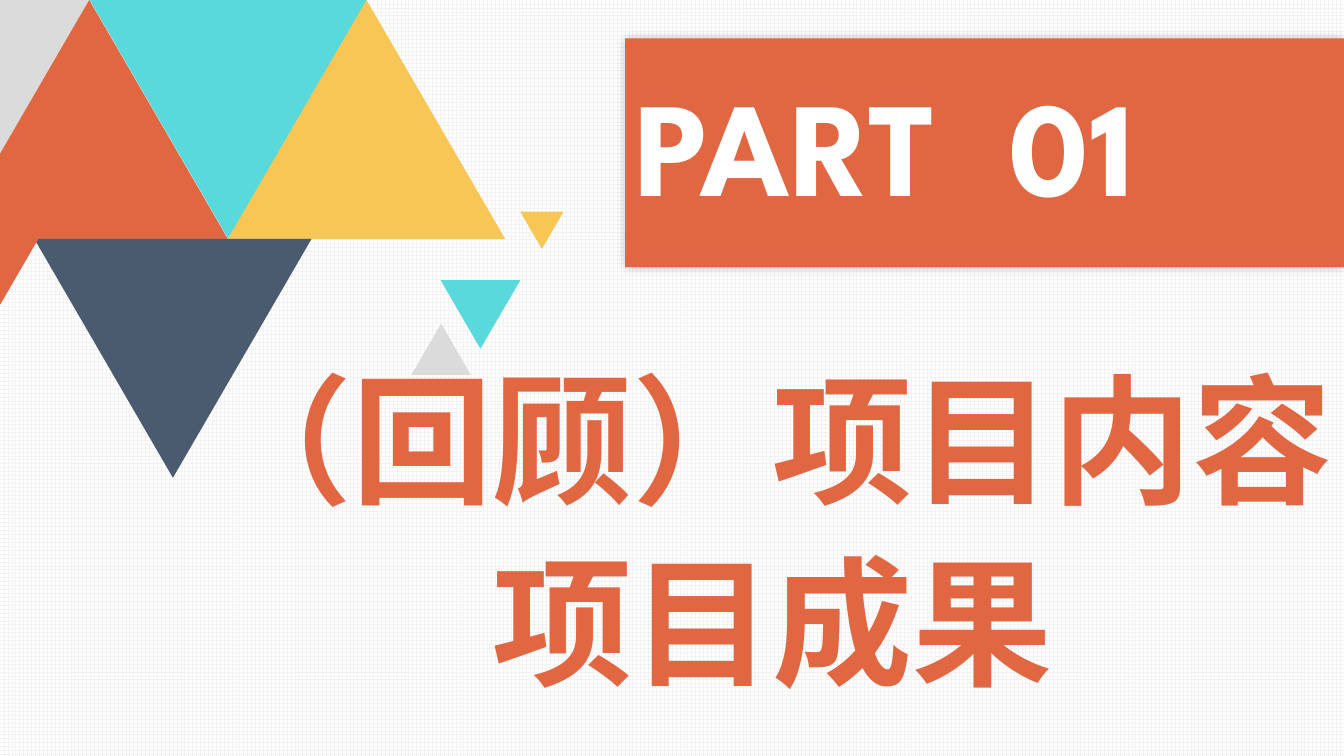
from lxml.etree import SubElement
from pptx import Presentation
from pptx.dml.color import RGBColor
from pptx.enum.dml import MSO_PATTERN
from pptx.enum.shapes import MSO_SHAPE
from pptx.enum.text import MSO_ANCHOR, MSO_AUTO_SIZE, PP_ALIGN
from pptx.oxml.ns import qn
from pptx.util import Inches, Pt

COLORS = {
    "orange": "E16742",
    "teal": "59D9DC",
    "yellow": "F8C655",
    "navy": "4A5B6F",
    "gray": "DBDBDB",
    "white": "FFFFFF",
    "grid": "F2F2F2",
    "shadow": "000000",
}


class SectionSlide:
    """Build a section divider with one font and a shared palette."""

    font_name = "League Spartan"

    def __init__(self, presentation):
        self.slide = presentation.slides.add_slide(presentation.slide_layouts[0])

    def color(self, name):
        return RGBColor.from_string(COLORS[name])

    def add_background(self):
        fill = self.slide.background.fill
        fill.patterned()
        fill.pattern = MSO_PATTERN.LARGE_GRID
        fill.fore_color.rgb = self.color("grid")
        fill.back_color.rgb = self.color("white")

    def place(self, shape, left, top, width, height):
        shape.left, shape.top = Inches(left), Inches(top)
        shape.width, shape.height = Inches(width), Inches(height)

    def set_text(self, shape, lines, size, color, alignment, anchor):
        frame = shape.text_frame
        frame.text = "\n".join(lines)
        frame.word_wrap = True
        frame.auto_size = MSO_AUTO_SIZE.NONE
        frame.vertical_anchor = anchor
        for index, paragraph in enumerate(frame.paragraphs):
            paragraph.alignment = alignment
            paragraph.space_before = Pt(10 if index else 0)
            paragraph.font.name = self.font_name
            paragraph.font.size = Pt(size)
            paragraph.font.bold = True
            paragraph.font.color.rgb = self.color(color)

    def add_shadow(self, shape, blur, opacity):
        effects = SubElement(shape.element.spPr, qn("a:effectLst"))
        shadow = SubElement(effects, qn("a:outerShdw"), blurRad=str(Pt(blur)), dist="0", dir="0")
        tint = SubElement(shadow, qn("a:srgbClr"), val=COLORS["shadow"])
        SubElement(tint, qn("a:alpha"), val=str(opacity * 1000))

    def add_banner(self, text):
        banner = self.slide.shapes.title
        self.place(banner, 6.2, 0.38, 7.13, 2.27)
        banner.fill.solid()
        banner.fill.fore_color.rgb = self.color("orange")
        self.add_shadow(banner, 7, 25)
        self.set_text(banner, [text], 96, "white", PP_ALIGN.LEFT, MSO_ANCHOR.MIDDLE)
        paragraph = banner.text_frame.paragraphs[0]
        paragraph.line_spacing = 0.9
        paragraph.runs[0].font._element.set("spc", "50")

    def add_topics(self, lines):
        topics = self.slide.placeholders[1]
        self.place(topics, 1.71, 3.46, 11.91, 4.2)
        self.set_text(topics, lines, 100, "orange", PP_ALIGN.CENTER, MSO_ANCHOR.TOP)

    def add_triangle(self, color, left, top, width, height, points_up=False):
        triangle = self.slide.shapes.add_shape(
            MSO_SHAPE.FLOWCHART_MERGE, Inches(left), Inches(top), Inches(width), Inches(height)
        )
        triangle.rotation = 180 if points_up else 0
        triangle.shadow.inherit = False
        triangle.fill.solid()
        triangle.fill.fore_color.rgb = self.color(color)
        triangle.line.fill.background()


def main():
    presentation = Presentation()
    presentation.slide_width = Inches(13.33)
    presentation.slide_height = Inches(7.5)

    section = SectionSlide(presentation)
    section.add_background()
    section.add_banner("PART  01")
    section.add_topics(["（回顾）项目内容", "项目成果"])

    width, height = 2.75, 2.37
    for index, color in enumerate(["gray", "orange", "teal", "yellow"]):
        left = round(-1.86 + index * width / 2, 2)
        section.add_triangle(color, left, 0, width, height, points_up=index % 2 == 1)
    section.add_triangle("navy", 0.34, height, width, height)

    section.add_triangle("orange", -0.49, height, 0.87, 0.75)
    section.add_triangle("yellow", 5.16, 2.1, 0.43, 0.37)
    section.add_triangle("teal", 4.37, 2.78, 0.79, 0.68)
    section.add_triangle("gray", 4.08, 3.21, 0.59, 0.51, points_up=True)

    presentation.save("out.pptx")


if __name__ == "__main__":
    main()
